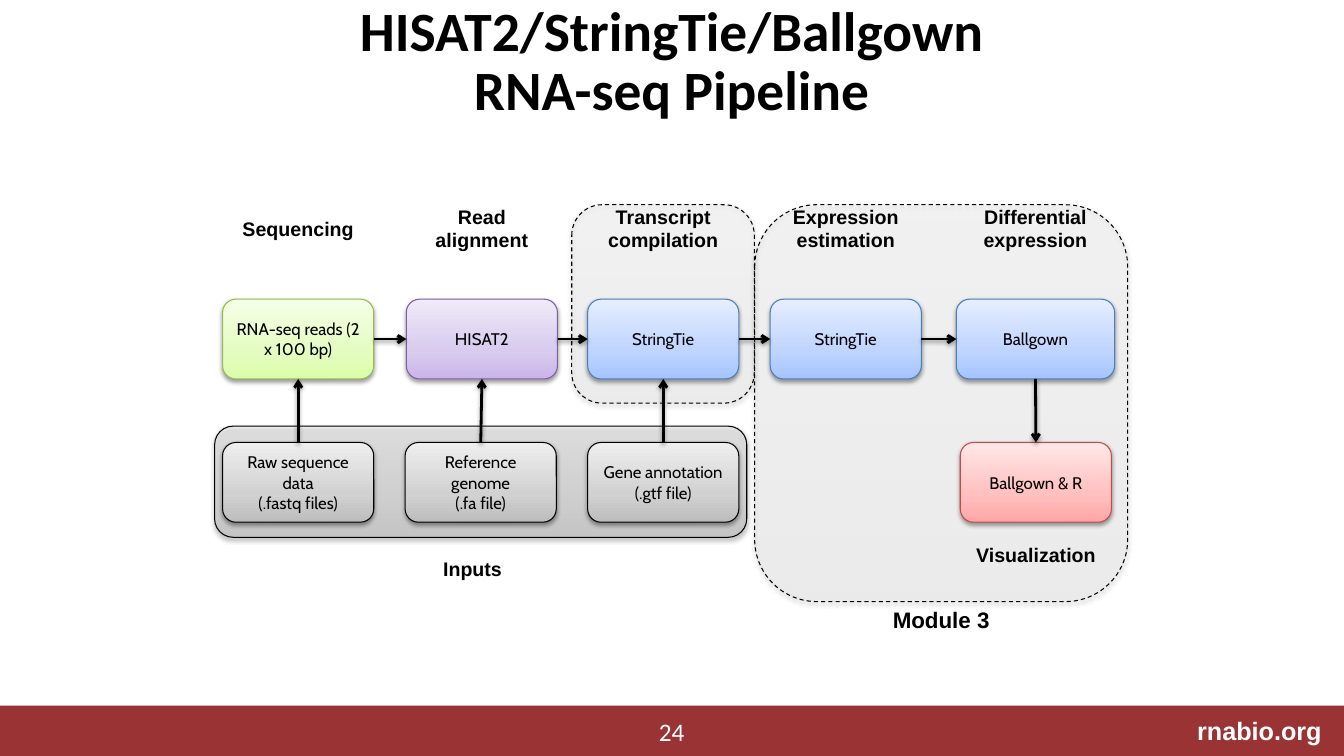
import pptx
import pptx.dml.color
import pptx.enum.shapes
import pptx.enum.text
import pptx.oxml
import pptx.oxml.ns
import pptx.util

Cm = pptx.util.Cm
Pt = pptx.util.Pt
Shape = pptx.enum.shapes.MSO_SHAPE
Align = pptx.enum.text.PP_ALIGN
Anchor = pptx.enum.text.MSO_ANCHOR

NS = pptx.oxml.ns.nsdecls("a")
SHADOW = (
    f'<a:outerShdw {NS} blurRad="40000" dist="20000" dir="5400000" rotWithShape="0">'
    '<a:srgbClr val="000000"><a:alpha val="38000"/></a:srgbClr></a:outerShdw>'
)
# Each paint: gradient stops from bottom to top, then the line colour
PAINTS = {
    "gray": (("BDBDBD", "D1D1D1", "EEEEEE"), "000000"),
    "green": (("DAFDA7", "E4FCC2", "F5FFE7"), "98B955"),
    "purple": (("C9B5E8", "D8CBEE", "F0EAF9"), "7D60A0"),
    "blue": (("A4C4FF", "BFD4FF", "E6EEFF"), "4B7EBC"),
    "red": (("FFA6A5", "FFC0BF", "FFE7E7"), "BF4C48"),
}
NODE = {"name": "Cabin", "size": Pt(12)}
LABEL = {"name": "Arial", "size": Pt(14), "bold": True}
TOP, RIGHT, BOTTOM, LEFT = 0, 3, 2, 1  # connection sites
HIGH, WIDE = 2.01, 3.81


def tint(code):
    return pptx.dml.color.RGBColor.from_string(code)


def write(frame, text, style, color="000000", align=Align.CENTER, anchor=Anchor.MIDDLE):
    """Fill a text frame; a new line starts a paragraph, \\v breaks a line."""
    frame.word_wrap = True
    frame.vertical_anchor = anchor
    frame.text = text
    for para in frame.paragraphs:
        para.alignment = align
        for run in para.runs:
            for key, value in style.items():
                setattr(run.font, key, value)
            run.font.color.rgb = tint(color)


def label(slide, text, box, style=LABEL, **rest):
    field = slide.shapes.add_textbox(*map(Cm, box))
    write(field.text_frame, text, style, **rest)


def shade(item):
    """Give a shape or connector the soft shadow below it."""
    props = item.element.spPr
    glow = pptx.oxml.parse_xml(f"<a:effectLst {NS}/>")
    glow.append(pptx.oxml.parse_xml(SHADOW))
    props.append(glow)


def panel(slide, box, paint, alpha=100, dash=None):
    """Draw a rounded box with a gradient, an outline and a shadow."""
    stops, edge = PAINTS[paint]
    item = slide.shapes.add_shape(Shape.ROUNDED_RECTANGLE, *map(Cm, box))
    marks = "".join(
        f'<a:gs pos="{pos}000"><a:srgbClr val="{code}"><a:alpha val="{alpha}000"/>'
        "</a:srgbClr></a:gs>"
        for pos, code in zip((0, 35, 100), stops)
    )
    item.element.spPr.append(pptx.oxml.parse_xml(
        f'<a:gradFill {NS} rotWithShape="1"><a:gsLst>{marks}</a:gsLst>'
        '<a:lin ang="16200000" scaled="0"/></a:gradFill>'
    ))
    item.line.color.rgb = tint(edge)
    item.line.width = Pt(0.75)
    if dash:
        item.line.dash_style = dash
    shade(item)
    return item


def node(slide, text, box, paint):
    item = panel(slide, box, paint)
    write(item.text_frame, text, NODE)
    return item


def arrow(slide, start, exit, end, entry):
    """Join a site of one node to a site of another."""
    link = slide.shapes.add_connector(pptx.enum.shapes.MSO_CONNECTOR.STRAIGHT, 0, 0, 0, 0)
    link.begin_connect(start, exit)
    link.end_connect(end, entry)
    link.line.color.rgb = tint("000000")
    link.line.width = Pt(2)
    link.line._get_or_add_ln().append(pptx.oxml.parse_xml(f'<a:tailEnd {NS} type="arrow"/>'))
    shade(link)


def head(slide, box):
    title = slide.shapes.title
    title.left, title.top, title.width, title.height = map(Cm, box)
    style = {"name": "Calibri", "size": Pt(39.6), "bold": True}
    write(title.text_frame, "HISAT2/StringTie/Ballgown\vRNA-seq Pipeline", style)
    title.text_frame.paragraphs[0].line_spacing = 0.9


def foot(slide, box):
    left, top, width, high = box
    bar = slide.shapes.add_shape(Shape.RECTANGLE, *map(Cm, box))
    bar.shadow.inherit = False
    bar.fill.solid()
    bar.fill.fore_color.rgb = tint("9A3334")
    bar.line.fill.background()
    white = {"color": "FFFFFF"}
    label(slide, "rnabio.org", (left + width - 6.86, top + 0.13, 6.55, 1.02),
          LABEL | {"size": Pt(18)}, align=Align.RIGHT, anchor=Anchor.TOP, **white)
    label(slide, "24", (left + width / 2 - 0.64, top + 0.13, 1.27, 1.02),
          {"name": "Calibri", "size": Pt(18)}, **white)


def frames(slide, left, top):
    """Draw the dashed areas that mark the third module."""
    dash = pptx.enum.dml.MSO_LINE.DASH
    panel(slide, (left + 9, top, 4.6, 5), "gray", 13, dash)
    panel(slide, (left + 13.61, top, 9.4, 10), "gray", 13, dash)
    label(slide, "Module 3", (left + 16.31, top + 9.98, 4, 0.94), LABEL | {"size": Pt(16)})


def flow(slide, left, top):
    """Draw the five steps, the inputs under them and the result."""
    lower = top + 6
    panel(slide, (left, lower - 0.41, 13.41, 2.8), "gray", 51)
    label(slide, "Inputs", (left + 5, lower + 2.74, 3, 0.86))

    def titled(name, text, shift, width, paint):
        label(slide, name, (left + shift + width / 2 - 1.9, top + 1.66 - 0.72 - 1.06, 3.8, 1.45))
        return node(slide, text, (left + shift, top + 2.39, width, HIGH), paint)

    steps = [titled(*row) for row in (
        ("Sequencing", "RNA-seq reads (2 x 100 bp)", 0.2, WIDE, "green"),
        ("Read alignment", "HISAT2", 4.83, WIDE, "purple"),
        ("Transcript compilation", "StringTie", 9.4, WIDE, "blue"),
        ("Expression estimation", "StringTie", 14, WIDE, "blue"),
        ("Differential expression", "Ballgown", 18.69, 3.99, "blue"),
    )]
    for start, end in zip(steps, steps[1:]):
        arrow(slide, start, RIGHT, end, LEFT)

    files = ("Raw sequence data\n(.fastq files)", "Reference genome\n(.fa file)",
             "Gene annotation\n(.gtf file)")
    for col, (text, step) in enumerate(zip(files, steps)):
        source = node(slide, text, (left + 0.2 + 4.6 * col, lower, WIDE, HIGH), "gray")
        arrow(slide, source, TOP, step, BOTTOM)

    plot = node(slide, "Ballgown & R", (left + 18.79, lower, WIDE, HIGH), "red")
    arrow(slide, steps[-1], BOTTOM, plot, TOP)
    label(slide, "Visualization", (left + 18.8, lower + 2.39, 3.8, 0.86))


def main():
    deck = pptx.Presentation()
    deck.slide_width, deck.slide_height = Cm(33.87), Cm(19.05)
    slide = deck.slides.add_slide(deck.slide_layouts.get_by_name("Title Only"))
    foot(slide, (0, 17.78, 33.87, 1.27))
    head(slide, (4.65, 0, 24.56, 3.18))
    frames(slide, 5.41, 5.16)
    flow(slide, 5.41, 5.15)
    deck.save("out.pptx")


if __name__ == "__main__":
    main()
